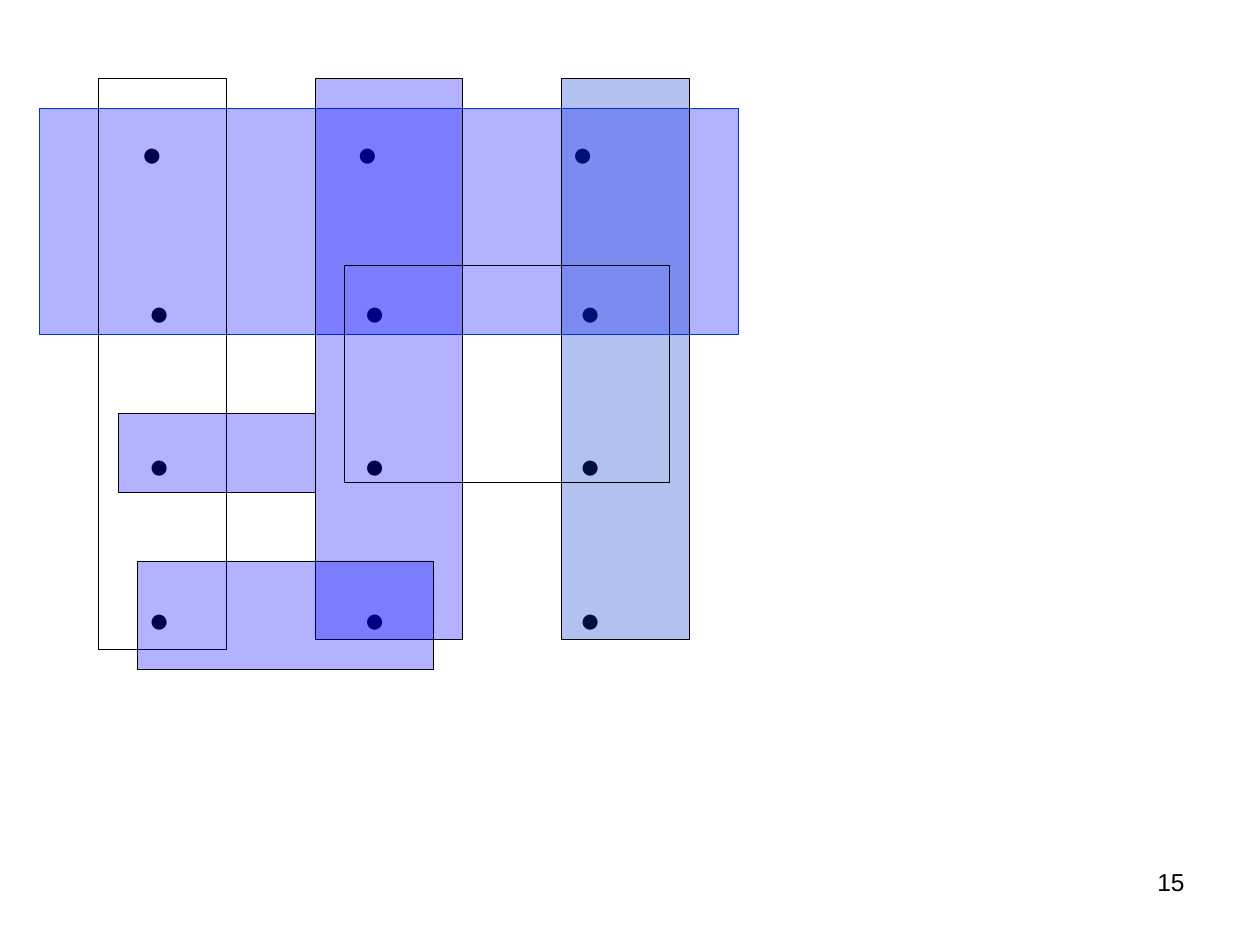
from lxml.etree import SubElement
from pptx import Presentation
from pptx.dml.color import RGBColor
from pptx.enum.shapes import MSO_SHAPE
from pptx.enum.text import MSO_ANCHOR, PP_ALIGN
from pptx.oxml.ns import qn
from pptx.util import Pt

SLIDE_SIZE = (720, 540)
DOT_PANEL = (11.5, 56.2, 686.2, 426.2)
DOT_COLUMNS, DOT_PITCH = 3, 123.1
# (first tab stop, space before) of each row of dots
DOT_ROWS = [(62.2, 0), (66.4, 66.7), (66.4, 63.9), (66.4, 63.9)]
PAGE_NUMBER, PAGE_NUMBER_BOX = "15", (516, 492, 168, 37.5)

BLACK, BLUE, DARK_BLUE = "000000", "0000FF", "0033CC"
OPACITY = 30
# (left, top, width, height), fill, line; back to front
GROUPS = [
    ((22.5, 61.9, 399.6, 129.4), BLUE, DARK_BLUE),
    ((56.2, 45, 73.4, 326.2), None, BLACK),
    ((320.6, 45, 73.4, 320.6), DARK_BLUE, BLACK),
    ((180, 45, 84.4, 320.6), BLUE, BLACK),
    ((196.9, 151.9, 185.6, 123.8), None, BLACK),
    ((78.8, 320.6, 168.8, 61.9), BLUE, BLACK),
    ((67.5, 236.2, 112.5, 45), BLUE, BLACK),
]


def color(value):
    """Turn a hex string into a colour."""
    return RGBColor.from_string(value)


def add_rectangle(slide, box, fill, line, line_width=0.51):
    """Add an outlined rectangle, with a translucent fill or none."""
    shape = slide.shapes.add_shape(MSO_SHAPE.RECTANGLE, *map(Pt, box))
    shape.shadow.inherit = False
    shape.line.color.rgb = color(line)
    shape.line.width = Pt(line_width)
    if fill is None:
        shape.fill.background()
    else:
        shape.fill.solid()
        shape.fill.fore_color.rgb = color(fill)
        fill_color = shape.fill._xPr.find(qn("a:solidFill"))[0]
        SubElement(fill_color, qn("a:alpha"), val=str(OPACITY * 1000))
    return shape


def set_text(paragraph, text, size, alignment):
    """Write a paragraph in black Arial."""
    paragraph.text = text
    paragraph.alignment = alignment
    paragraph.font.name = "Arial"
    paragraph.font.size = Pt(size)
    paragraph.font.color.rgb = color(BLACK)


def add_dots(slide):
    """Add the grid of dots, set in columns by tab stops."""
    frame = add_rectangle(slide, DOT_PANEL, None, "FFFFFF", 0.74).text_frame
    frame.word_wrap = True
    frame.vertical_anchor = MSO_ANCHOR.TOP
    frame.margin_top = Pt(18.8)
    for index, (first_stop, space_before) in enumerate(DOT_ROWS):
        paragraph = frame.add_paragraph() if index else frame.paragraphs[0]
        set_text(paragraph, "\t●" * DOT_COLUMNS, 20, PP_ALIGN.LEFT)
        paragraph.space_before = Pt(space_before)
        tabs = SubElement(paragraph._p.get_or_add_pPr(), qn("a:tabLst"))
        # Tab stops precede the default run properties
        tabs.getparent().insert(1, tabs)
        for column in range(DOT_COLUMNS):
            position = Pt(first_stop + column * DOT_PITCH)
            SubElement(tabs, qn("a:tab"), pos=str(position), algn="l")


def add_page_number(slide):
    """Add the page number at the lower right."""
    frame = slide.shapes.add_textbox(*map(Pt, PAGE_NUMBER_BOX)).text_frame
    frame.word_wrap = True
    set_text(frame.paragraphs[0], PAGE_NUMBER, 14, PP_ALIGN.RIGHT)


presentation = Presentation()
presentation.slide_width, presentation.slide_height = map(Pt, SLIDE_SIZE)
slide = presentation.slides.add_slide(presentation.slide_layouts[6])
add_dots(slide)
add_page_number(slide)
for group in GROUPS:
    add_rectangle(slide, *group)
presentation.save("out.pptx")
